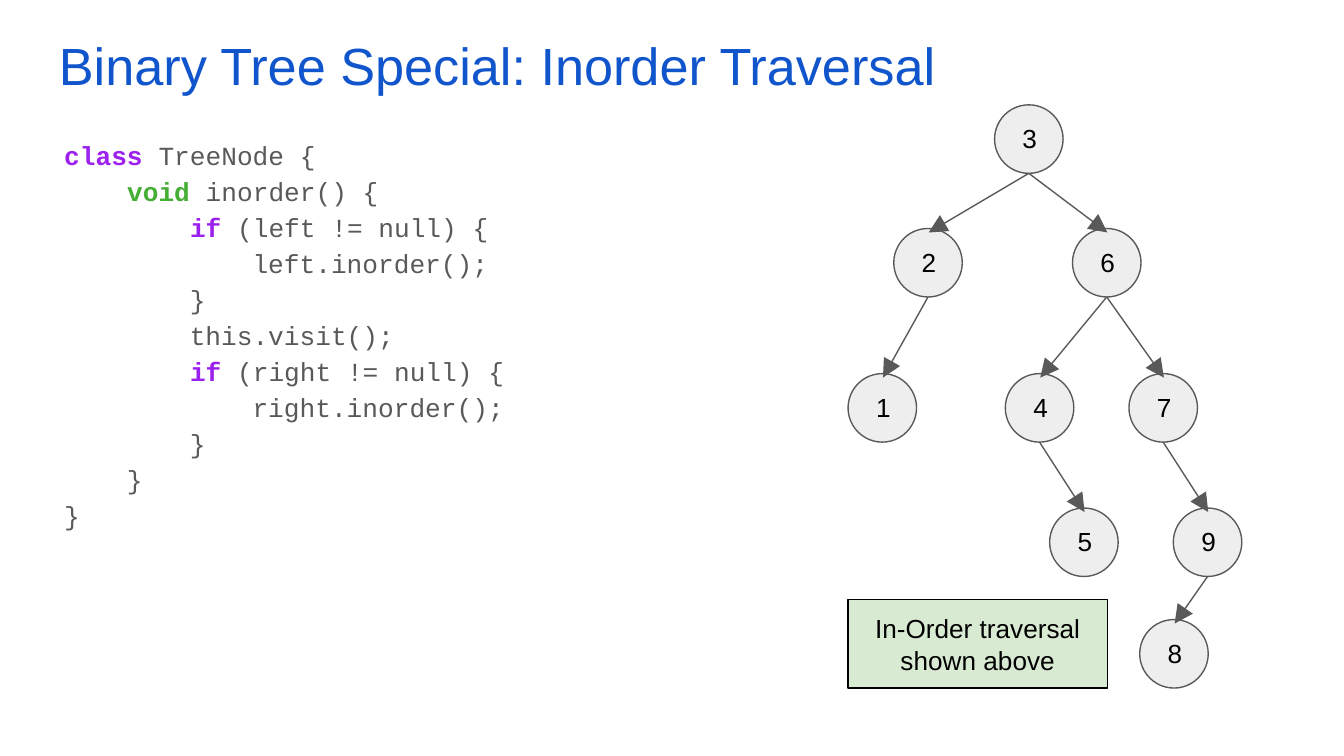
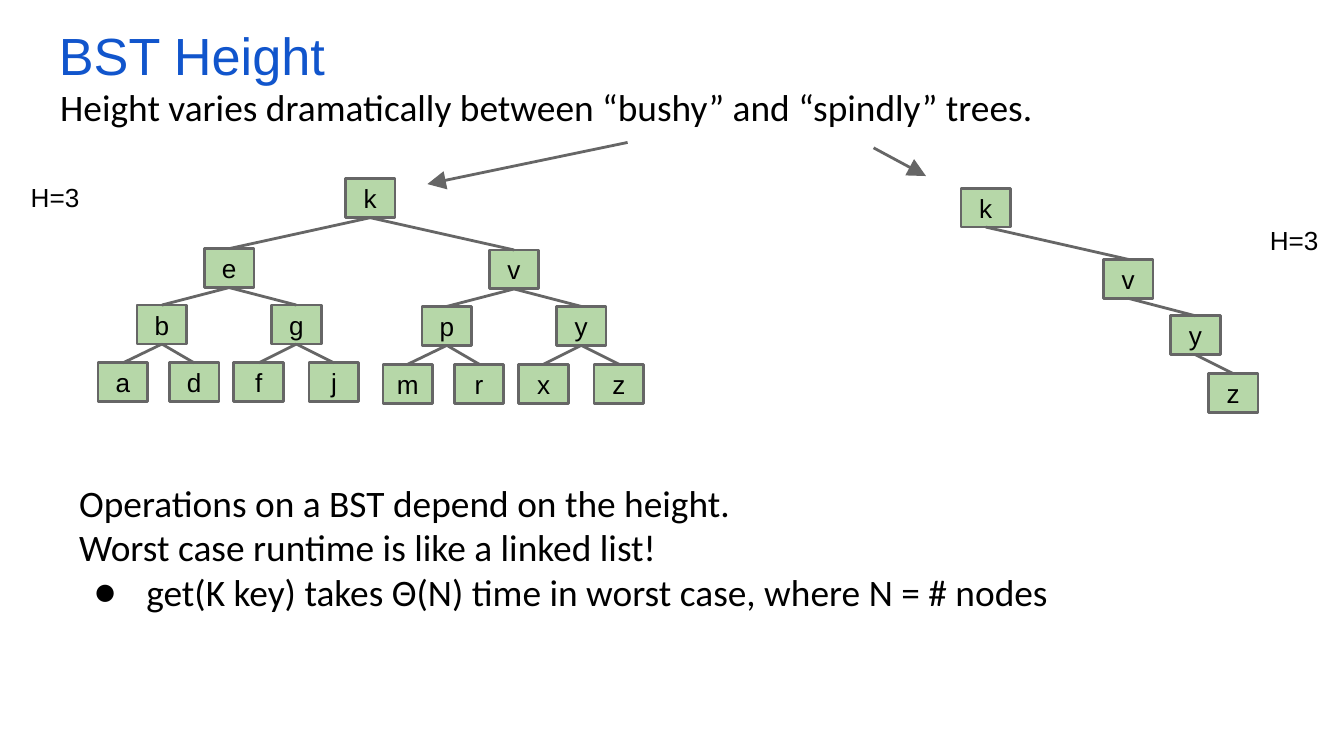
from dataclasses import dataclass
from typing import NamedTuple, Optional

import lxml.etree
import pptx
import pptx.dml.color
import pptx.enum.shapes
import pptx.enum.text
import pptx.oxml.ns
import pptx.shapes.base
import pptx.shapes.connector
import pptx.slide
import pptx.util

Inches = pptx.util.Inches
RGBColor = pptx.dml.color.RGBColor
qualified = pptx.oxml.ns.qn
SHAPE = pptx.enum.shapes.MSO_SHAPE
ALIGN = pptx.enum.text.PP_ALIGN
ANCHOR = pptx.enum.text.MSO_ANCHOR

TITLE_BLUE = RGBColor(0x11, 0x55, 0xCC)
BLACK = RGBColor(0x00, 0x00, 0x00)
DARK_GRAY = RGBColor(0x59, 0x59, 0x59)
BOX_GRAY = RGBColor(0x66, 0x66, 0x66)
CIRCLE_GRAY = RGBColor(0xEE, 0xEE, 0xEE)
NOTE_GREEN = RGBColor(0xD9, 0xEA, 0xD3)
BOX_GREEN = RGBColor(0xB6, 0xD7, 0xA8)
PURPLE = RGBColor(0x9C, 0x20, 0xEE)
GREEN = RGBColor(0x45, 0xAE, 0x34)

KEYWORD_COLORS = {"class": PURPLE, "void": GREEN, "if": PURPLE}
CODE = """class TreeNode {
    void inorder() {
        if (left != null) {
            left.inorder();
        }
        this.visit();
        if (right != null) {
            right.inorder();
        }
    }
}"""

CIRCLE_SIZE = 0.51
BOX_WIDTH, BOX_HEIGHT = 0.37, 0.29
SUBTREE_OFFSETS = [
    (0, 0),
    (-0.5, 0.42), (0.5, 0.42),
    (-0.79, 0.85), (-0.26, 0.85), (0.22, 0.85), (0.78, 0.85),
]
MISSING = "-"


class Area(NamedTuple):
    left: float
    top: float
    width: float
    height: float


class Point(NamedTuple):
    x: float
    y: float


@dataclass(frozen=True)
class Circle:
    label: str
    left: float
    top: float
    parent: Optional[str] = None


@dataclass(frozen=True)
class Subtree:
    labels: str
    left: float
    top: float


@dataclass(frozen=True)
class Tree:
    root: Area
    subtrees: tuple[Subtree, ...]


CIRCLES = [
    Circle("3", 7.4, 0.78),
    Circle("2", 6.65, 1.7, "3"),
    Circle("6", 7.98, 1.7, "3"),
    Circle("1", 6.31, 2.78, "2"),
    Circle("4", 7.48, 2.78, "6"),
    Circle("7", 8.4, 2.78, "6"),
    Circle("5", 7.81, 3.78, "4"),
    Circle("9", 8.73, 3.78, "7"),
    Circle("8", 8.48, 4.61, "9"),
]
BUSHY = Tree(
    Area(2.57, 1.33, BOX_WIDTH, BOX_HEIGHT),
    (Subtree("ebgadfj", 1.52, 1.85), Subtree("vpymrxz", 3.64, 1.86)),
)
SPINDLY = Tree(
    Area(7.15, 1.4, BOX_WIDTH, BOX_HEIGHT), (Subtree("v-y---z", 8.21, 1.93),)
)


def split_keyword(line: str) -> list[str]:
    for keyword in KEYWORD_COLORS:
        if line.lstrip().startswith(keyword + " "):
            return [part for part in line.partition(keyword) if part]
    return [line]


def write_text(
    shape: pptx.shapes.base.BaseShape,
    text: str,
    *,
    size: int = 14,
    font: str = "Arial",
    color: RGBColor = BLACK,
    align: ALIGN = ALIGN.LEFT,
    anchor: ANCHOR = ANCHOR.TOP,
    line_spacing: float = 1.0,
    code: bool = False,
    bullet: str = "",
) -> None:
    frame = shape.text_frame
    frame.word_wrap = True
    frame.vertical_anchor = anchor
    frame.margin_left = frame.margin_right = Inches(0.1)
    frame.margin_top = frame.margin_bottom = Inches(0.1)
    for index, line in enumerate(text.split("\n")):
        paragraph = frame.add_paragraph() if index else frame.paragraphs[0]
        paragraph.alignment = align
        paragraph.line_spacing = line_spacing
        if bullet and line.startswith(bullet):
            line = line.removeprefix(bullet)
            add_bullet(paragraph, bullet, size, font)
        for part in split_keyword(line) if code else [line]:
            run = paragraph.add_run()
            run.text = part
            run.font.name = font
            run.font.size = pptx.util.Pt(size)
            run.font.bold = code and part in KEYWORD_COLORS
            run.font.color.rgb = KEYWORD_COLORS[part] if run.font.bold else color


def add_bullet(paragraph, bullet: str, size: int, font: str) -> None:
    properties = paragraph._p.get_or_add_pPr()
    properties.set("marL", str(Inches(0.5)))
    properties.set("indent", str(Inches(-0.39)))
    for tag, attribute, value in (
        ("a:buSzPts", "val", str(size * 100)),
        ("a:buFont", "typeface", font),
        ("a:buChar", "char", bullet),
    ):
        lxml.etree.SubElement(properties, qualified(tag)).set(attribute, value)


def add_text(slide: pptx.slide.Slide, area: Area, text: str, **formatting) -> None:
    box = slide.shapes.add_textbox(*map(Inches, area))
    write_text(box, text, **formatting)


def add_title(slide: pptx.slide.Slide, top: float, text: str) -> None:
    add_text(slide, Area(0.34, top, 9.32, 0.63), text, size=28, color=TITLE_BLUE)


def add_filled_shape(
    slide: pptx.slide.Slide,
    kind: SHAPE,
    area: Area,
    fill: RGBColor,
    line: RGBColor,
    line_width: float = 0.75,
) -> pptx.shapes.base.BaseShape:
    shape = slide.shapes.add_shape(kind, *map(Inches, area))
    shape.shadow.inherit = False
    shape.fill.solid()
    shape.fill.fore_color.rgb = fill
    shape.line.color.rgb = line
    shape.line.width = pptx.util.Pt(line_width)
    return shape


def add_line(
    slide: pptx.slide.Slide,
    start: Point,
    end: Point,
    color: RGBColor,
    width: float,
    arrow: bool = False,
) -> pptx.shapes.connector.Connector:
    connector = slide.shapes.add_connector(
        pptx.enum.shapes.MSO_CONNECTOR.STRAIGHT, *map(Inches, (*start, *end))
    )
    connector.line.color.rgb = color
    connector.line.width = pptx.util.Pt(width)
    properties = connector.element.spPr
    if arrow:
        outline = properties.find(qualified("a:ln"))
        head = lxml.etree.SubElement(outline, qualified("a:tailEnd"))
        for name, value in (("type", "triangle"), ("w", "lg"), ("len", "lg")):
            head.set(name, value)
    lxml.etree.SubElement(properties, qualified("a:effectLst"))
    return connector


def add_circles(slide: pptx.slide.Slide, circles: list[Circle]) -> None:
    by_label = {circle.label: circle for circle in circles}
    for circle in circles:
        area = Area(circle.left, circle.top, CIRCLE_SIZE, CIRCLE_SIZE)
        add_filled_shape(slide, SHAPE.OVAL, area, CIRCLE_GRAY, DARK_GRAY)
        label_area = Area(circle.left + 0.11, circle.top + 0.03, 0.3, 0.27)
        add_text(slide, label_area, circle.label)
    for circle in circles:
        if circle.parent:
            parent = by_label[circle.parent]
            start = Point(parent.left + CIRCLE_SIZE / 2, parent.top + CIRCLE_SIZE)
            end = Point(circle.left + 0.26, circle.top + 0.03)
            add_line(slide, start, end, DARK_GRAY, 0.75, arrow=True)


def add_box(
    slide: pptx.slide.Slide, area: Area, label: str
) -> pptx.shapes.base.BaseShape:
    box = add_filled_shape(slide, SHAPE.RECTANGLE, area, BOX_GREEN, BOX_GRAY, 1.5)
    write_text(box, label, align=ALIGN.CENTER, anchor=ANCHOR.MIDDLE)
    return box


def join_boxes(
    slide: pptx.slide.Slide,
    parent: pptx.shapes.base.BaseShape,
    child: pptx.shapes.base.BaseShape,
) -> None:
    connector = add_line(slide, Point(0, 0), Point(0, 0), BOX_GRAY, 1.5)
    connector.begin_connect(parent, 2)
    connector.end_connect(child, 0)


def add_tree(slide: pptx.slide.Slide, tree: Tree) -> None:
    root = add_box(slide, tree.root, "k")
    for subtree in tree.subtrees:
        boxes = {}
        for index, label in enumerate(subtree.labels):
            if label == MISSING:
                continue
            across, down = SUBTREE_OFFSETS[index]
            area = Area(
                subtree.left + across, subtree.top + down, BOX_WIDTH, BOX_HEIGHT
            )
            boxes[index] = add_box(slide, area, label)
            parent = boxes[(index - 1) // 2] if index else root
            join_boxes(slide, parent, boxes[index])


def build_traversal_slide(slide: pptx.slide.Slide) -> None:
    add_title(slide, 0.15, "Binary Tree Special: Inorder Traversal")
    code_style = dict(font="Courier New", color=DARK_GRAY, line_spacing=1.15)
    add_text(slide, Area(0.38, 0.9, 5.23, 3.74), CODE, code=True, **code_style)
    add_circles(slide, CIRCLES)
    note = add_filled_shape(
        slide, SHAPE.RECTANGLE, Area(6.31, 4.46, 1.93, 0.66), NOTE_GREEN, BLACK
    )
    write_text(note, "In-Order traversal shown above", align=ALIGN.CENTER)


def build_height_slide(slide: pptx.slide.Slide) -> None:
    add_title(slide, 0.07, "BST Height")
    body_style = dict(size=20, font="Calibri", bullet="●")
    add_text(
        slide,
        Area(0.35, 0.53, 9.23, 0.74),
        "Height varies dramatically between “bushy” and “spindly” trees.",
        **body_style,
    )
    for tree in (BUSHY, SPINDLY):
        add_tree(slide, tree)
    add_line(slide, Point(4.67, 1.06), Point(3.18, 1.37), BOX_GRAY, 1.5, arrow=True)
    add_line(slide, Point(6.5, 1.1), Point(6.89, 1.31), BOX_GRAY, 1.5, arrow=True)
    for left, top in ((0.13, 1.25), (9.35, 1.57)):
        add_text(slide, Area(left, top, 1.1, 0.33), "H=3")
    add_text(
        slide,
        Area(0.49, 3.47, 9.03, 2.02),
        "Operations on a BST depend on the height.\n"
        "Worst case runtime is like a linked list!\n"
        "●get(K key) takes Θ(N) time in worst case, where N = # nodes",
        **body_style,
    )


def main() -> None:
    presentation = pptx.Presentation()
    presentation.slide_width = Inches(10)
    presentation.slide_height = presentation.slide_width * 9 // 16
    blank = presentation.slide_layouts[6]
    for build in (build_traversal_slide, build_height_slide):
        build(presentation.slides.add_slide(blank))
    presentation.save("out.pptx")


if __name__ == "__main__":
    main()
